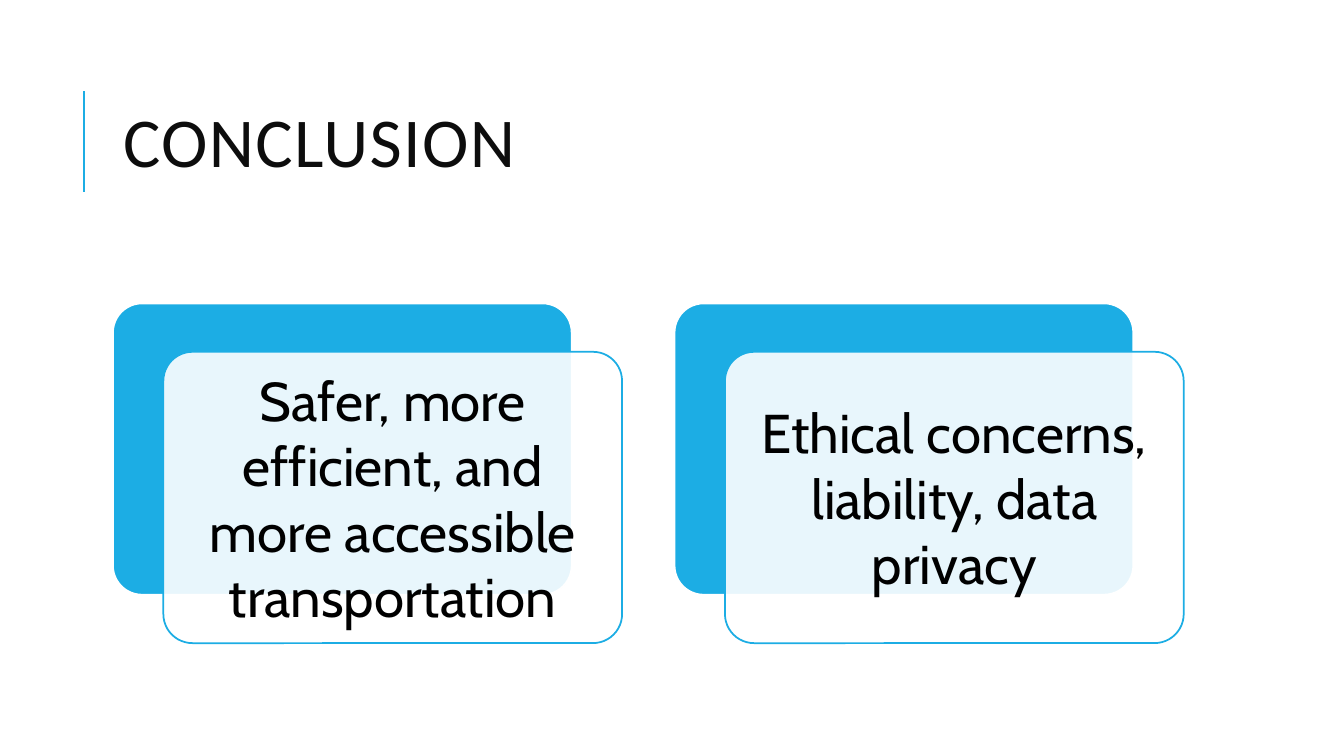
from dataclasses import dataclass

import pptx
import pptx.dml.color
import pptx.enum.shapes
import pptx.enum.text
import pptx.oxml
import pptx.oxml.ns
import pptx.util
from pptx.util import Inches


@dataclass(frozen=True)
class Theme:
    accent: str = "1CADE4"
    paper: str = "FFFFFF"
    title_color: str = "0D0D0D"
    text_color: str = "000000"
    title_font: str = "Calibri"
    text_font: str = "Cabin"
    title_size: int = 50
    text_size: int = 39
    rule_width: float = 1.5
    border_width: float = 1.25
    card_opacity: int = 90


THEME = Theme()
CONCLUSIONS = [
    "Safer, more efficient, and more accessible transportation",
    "Ethical concerns, liability, data privacy",
]
CARD_LEFT, CARD_TOP, CARD_PITCH = 1.12, 3.01, 5.57
CARD_WIDTH, CARD_HEIGHT = 4.55, 2.89
CARD_OFFSET_X, CARD_OFFSET_Y = 0.5, 0.48


def rgb(color):
    return pptx.dml.color.RGBColor.from_string(color)


def style_font(paragraph, name, size, color):
    paragraph.font.name = name
    paragraph.font.size = pptx.util.Pt(size)
    paragraph.font.color.rgb = rgb(color)


def add_title_rule(slide):
    rule = slide.shapes.add_connector(
        pptx.enum.shapes.MSO_CONNECTOR.STRAIGHT,
        Inches(0.83), Inches(1.9), Inches(0.83), Inches(0.9),
    )
    rule.line.color.rgb = rgb(THEME.accent)
    rule.line.width = pptx.util.Pt(THEME.rule_width)
    rule._element.spPr.append(pptx.oxml.parse_xml(
        f'<a:effectLst {pptx.oxml.ns.nsdecls("a")}/>'
    ))


def set_title(slide, text):
    title = slide.shapes.title
    title.left, title.top = Inches(1.12), Inches(0.64)
    title.width, title.height = Inches(10.63), Inches(1.64)
    frame = title.text_frame
    frame.text = text
    frame.auto_size = pptx.enum.text.MSO_AUTO_SIZE.NONE
    frame.vertical_anchor = pptx.enum.text.MSO_ANCHOR.MIDDLE
    paragraph = frame.paragraphs[0]
    paragraph.alignment = pptx.enum.text.PP_ALIGN.LEFT
    paragraph.line_spacing = 0.8
    style_font(paragraph, THEME.title_font, THEME.title_size, THEME.title_color)
    paragraph.runs[0]._r.get_or_add_rPr().set("spc", "100")


def add_panel(slide, left, top, fill, border):
    panel = slide.shapes.add_shape(
        pptx.enum.shapes.MSO_SHAPE.ROUNDED_RECTANGLE,
        Inches(left), Inches(top), Inches(CARD_WIDTH), Inches(CARD_HEIGHT),
    )
    panel.adjustments[0] = 0.1
    panel.shadow.inherit = False
    panel.fill.solid()
    panel.fill.fore_color.rgb = rgb(fill)
    panel.line.color.rgb = rgb(border)
    panel.line.width = pptx.util.Pt(THEME.border_width)
    return panel


def set_opacity(shape, percent):
    color = shape._element.spPr.find(
        f'{pptx.oxml.ns.qn("a:solidFill")}/{pptx.oxml.ns.qn("a:srgbClr")}'
    )
    color.append(pptx.oxml.parse_xml(
        f'<a:alpha {pptx.oxml.ns.nsdecls("a")} val="{percent * 1000}"/>'
    ))


def add_card(slide, left, text):
    add_panel(slide, left, CARD_TOP, THEME.accent, THEME.paper)
    front = add_panel(
        slide, left + CARD_OFFSET_X, CARD_TOP + CARD_OFFSET_Y,
        THEME.paper, THEME.accent,
    )
    set_opacity(front, THEME.card_opacity)
    frame = front.text_frame
    frame.word_wrap = True
    frame.vertical_anchor = pptx.enum.text.MSO_ANCHOR.MIDDLE
    frame.margin_left = frame.margin_right = Inches(0.16)
    frame.margin_top = frame.margin_bottom = Inches(0.16)
    frame.text = text
    paragraph = frame.paragraphs[0]
    paragraph.alignment = pptx.enum.text.PP_ALIGN.CENTER
    style_font(paragraph, THEME.text_font, THEME.text_size, THEME.text_color)


def main():
    presentation = pptx.Presentation()
    presentation.slide_width = Inches(13.33)
    presentation.slide_height = Inches(7.5)
    slide = presentation.slides.add_slide(presentation.slide_layouts[5])
    add_title_rule(slide)
    set_title(slide, "CONCLUSION")
    for index, text in enumerate(CONCLUSIONS):
        add_card(slide, CARD_LEFT + index * CARD_PITCH, text)
    presentation.save("out.pptx")


if __name__ == "__main__":
    main()
